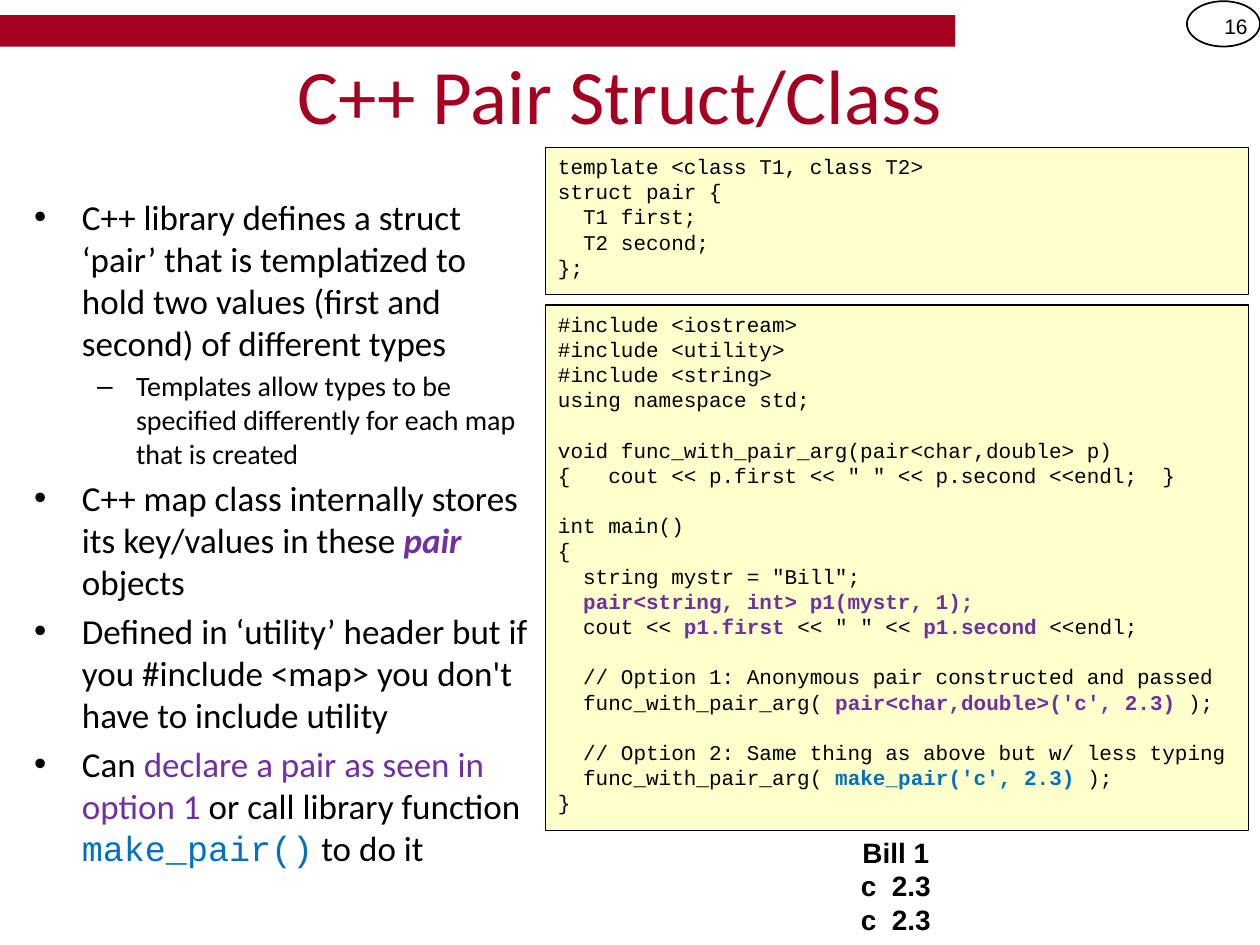
import pptx
import pptx.util
import pptx.dml.color
import pptx.enum.shapes
import pptx.enum.text

Inches = pptx.util.Inches
Pt = pptx.util.Pt
RGBColor = pptx.dml.color.RGBColor
Shape = pptx.enum.shapes.MSO_SHAPE
Align = pptx.enum.text.PP_ALIGN
Anchor = pptx.enum.text.MSO_ANCHOR

RED = RGBColor(0xA5, 0x00, 0x21)
BLACK = RGBColor(0x00, 0x00, 0x00)
PURPLE = RGBColor(0x70, 0x30, 0xA0)
BLUE = RGBColor(0x00, 0x70, 0xC0)
CREAM = RGBColor(0xFF, 0xFF, 0xCC)


def add_span(para, text, font="Calibri", size=20, color=BLACK, bold=False, italic=False):
    span = para.add_run()
    span.text = text
    span.font.name = font
    span.font.size = Pt(size)
    span.font.color.rgb = color
    span.font.bold = bold
    span.font.italic = italic


def add_box(page, kind, left, top, width, height, fill=None, line=None):
    box = page.shapes.add_shape(kind, Inches(left), Inches(top), Inches(width), Inches(height))
    box.shadow.inherit = False
    if fill is None:
        box.fill.background()
    else:
        box.fill.solid()
        box.fill.fore_color.rgb = fill
    if line is None:
        box.line.fill.background()
    else:
        box.line.color.rgb = BLACK
        box.line.width = Pt(line)
    return box


deck = pptx.Presentation()
deck.slide_width = Inches(10)
deck.slide_height = Inches(7.5)
page = deck.slides.add_slide(deck.slide_layouts[1])

# Header bar and slide number
add_box(page, Shape.RECTANGLE, 0, 0.12, 7.58, 0.25, fill=RED)
add_box(page, Shape.OVAL, 9.42, 0.01, 0.58, 0.36, line=1)
number = page.shapes.add_textbox(Inches(9.42), Inches(0.01), Inches(0.58), Inches(0.4))
number.text_frame.word_wrap = True
number.text_frame.vertical_anchor = Anchor.MIDDLE
para = number.text_frame.paragraphs[0]
para.alignment = Align.RIGHT
add_span(para, "16", font="Arial", size=12)

# Title
title = page.shapes.title
title.left, title.top = Inches(1.17), Inches(0.33)
title.width, title.height = Inches(7.5), Inches(0.83)
title.text_frame.auto_size = pptx.enum.text.MSO_AUTO_SIZE.NONE
title.text_frame.vertical_anchor = Anchor.MIDDLE
para = title.text_frame.paragraphs[0]
para.alignment = Align.CENTER
add_span(para, "C++ Pair Struct/Class", size=44, color=RED)

# Bullet list: level, then spans with their format
bullets = [
    (0, [("C++ library defines a struct ‘pair’ that is templatized to hold two values "
          "(first and second) of different types", {})]),
    (1, [("Templates allow types to be specified differently for each map that is created", {})]),
    (0, [("C++ map class internally stores its key/values in these ", {}),
         ("pair", {"color": PURPLE, "bold": True, "italic": True}),
         (" objects", {})]),
    (0, [("Defined in ‘utility’ header but if you #include <map> you don't have to include utility", {})]),
    (0, [("Can ", {}),
         ("declare a pair as seen in option 1 ", {"color": PURPLE}),
         ("or call library function ", {}),
         ("make_pair()", {"font": "Courier New", "color": BLUE}),
         (" to do it", {})]),
]
level_sizes = [20, 16]
level_indents = [(0.38, -0.38), (0.81, -0.31)]

body = page.placeholders[1]
body.left, body.top = Inches(0.17), Inches(1.5)
body.width, body.height = Inches(4.17), Inches(5.67)
frame = body.text_frame
frame.auto_size = pptx.enum.text.MSO_AUTO_SIZE.NONE
for index, (level, spans) in enumerate(bullets):
    para = frame.add_paragraph() if index else frame.paragraphs[0]
    para.level = level
    margin, indent = level_indents[level]
    properties = para._p.get_or_add_pPr()
    properties.set("marL", str(Inches(margin)))
    properties.set("indent", str(Inches(indent)))
    for text, style in spans:
        add_span(para, text, size=level_sizes[level], **style)

# Code boxes: groups of lines parted by a gap; a line is a list of (text, highlight)
struct_code = [[
    [("template <class T1, class T2> ", None)],
    [("struct pair {", None)],
    [("  T1 first;", None)],
    [("  T2 second;", None)],
    [("};", None)],
]]
main_code = [
    [
        [("#include <iostream>", None)],
        [("#include <utility>", None)],
        [("#include <string>", None)],
        [("using namespace std;", None)],
    ],
    [
        [("void func_with_pair_arg(pair<char,double> p)", None)],
        [('{   cout << p.first << " " << p.second <<endl;  }', None)],
    ],
    [
        [("int main()", None)],
        [("{", None)],
        [('  string mystr = "Bill";', None)],
        [("  ", None), ("pair<string, int> p1(mystr, 1);", PURPLE)],
        [("  cout << ", None), ("p1.first", PURPLE), (' << " " << ', None),
         ("p1.second", PURPLE), (" <<endl;", None)],
    ],
    [
        [("  // Option 1: Anonymous pair constructed and passed", None)],
        [("  func_with_pair_arg( ", None), ("pair<char,double>('c', 2.3) ", PURPLE), (");", None)],
    ],
    [
        [("  // Option 2: Same thing as above but w/ less typing", None)],
        [("  func_with_pair_arg( ", None), ("make_pair('c', 2.3) ", BLUE), (");", None)],
        [("}", None)],
    ],
]
for top, height, groups in [(1.17, 1.17, struct_code), (2.42, 4.17, main_code)]:
    box = add_box(page, Shape.RECTANGLE, 4.33, top, 5.58, height, fill=CREAM, line=0.75)
    frame = box.text_frame
    frame.word_wrap = True
    frame.vertical_anchor = Anchor.TOP
    para = frame.paragraphs[0]
    for group_index, group in enumerate(groups):
        for line_index, line in enumerate(group):
            if group_index or line_index:
                para = frame.add_paragraph()
            para.alignment = Align.LEFT
            if group_index and line_index == 0:
                para.space_before = Pt(14.4)
            for text, highlight in line:
                add_span(para, text, font="Courier New", size=12,
                         color=highlight or BLACK, bold=highlight is not None)

# Program output
output = page.shapes.add_textbox(Inches(5.11), Inches(6.58), Inches(4), Inches(0.91))
frame = output.text_frame
frame.word_wrap = True
for index, text in enumerate(["Bill 1", "c  2.3", "c  2.3"]):
    para = frame.add_paragraph() if index else frame.paragraphs[0]
    para.alignment = Align.CENTER
    add_span(para, text, font="Arial", size=16, bold=True)

deck.save("out.pptx")
